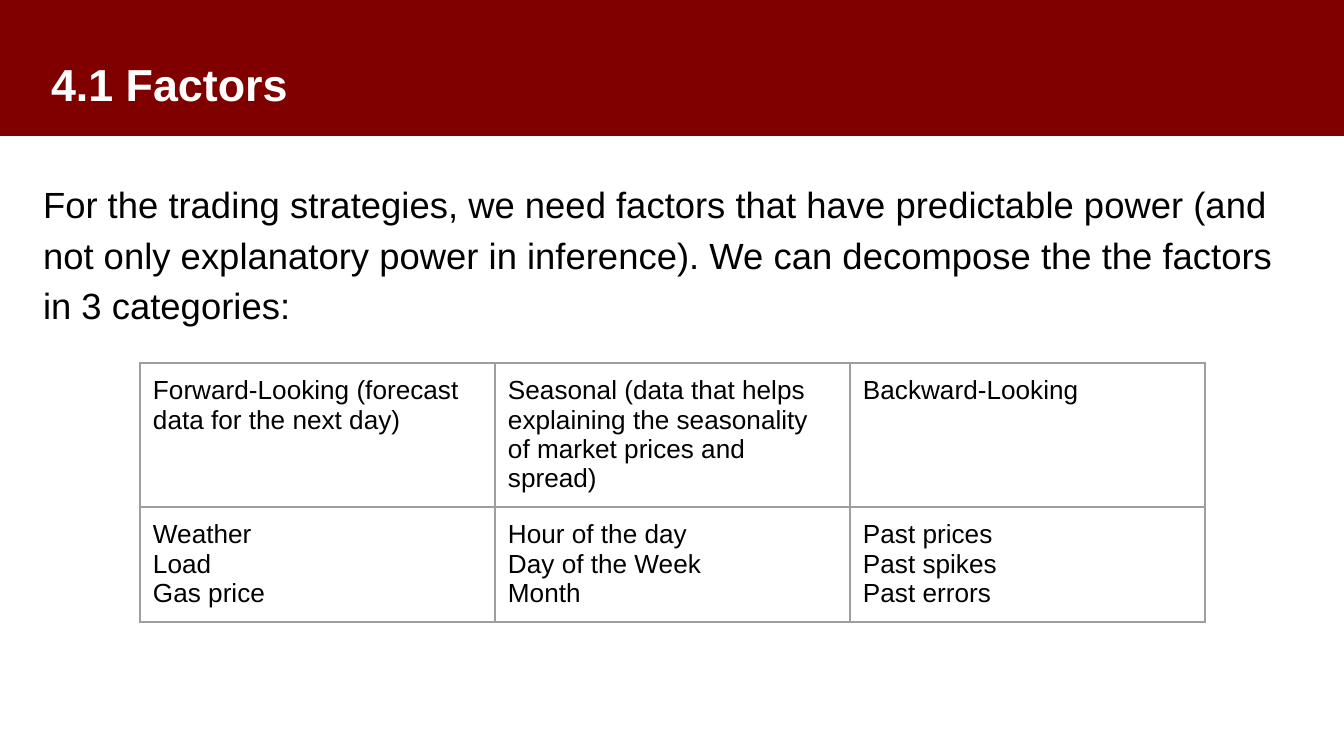
from dataclasses import dataclass

from lxml.etree import SubElement
from pptx import Presentation
from pptx.dml.color import RGBColor
from pptx.enum.text import MSO_ANCHOR, MSO_AUTO_SIZE, PP_ALIGN
from pptx.oxml.ns import qn
from pptx.util import Emu, Pt

EMU_PER_PX = 914400 / 134.4
FONT = "Arial"
COLORS = {
    "band": "800000",
    "heading": "FFFFFF",
    "text": "000000",
    "border": "9E9E9E",
}
COLUMN_WIDTH = 355
ROW_HEIGHTS = (144, 115)
CELL_MARGIN = 13


@dataclass(frozen=True)
class Box:
    left: int
    top: int
    width: int
    height: int


@dataclass(frozen=True)
class Category:
    heading: str
    factors: tuple[str, ...]


CATEGORIES = (
    Category(
        "Forward-Looking (forecast data for the next day)",
        ("Weather", "Load", "Gas price"),
    ),
    Category(
        "Seasonal (data that helps explaining the seasonality of market prices and spread)",
        ("Hour of the day", "Day of the Week", "Month"),
    ),
    Category("Backward-Looking", ("Past prices", "Past spikes", "Past errors")),
)


def px(length: int) -> Emu:
    return Emu(round(length * EMU_PER_PX))


def color(name: str) -> RGBColor:
    return RGBColor.from_string(COLORS[name])


def place(shape, box: Box) -> None:
    shape.left, shape.top = px(box.left), px(box.top)
    shape.width, shape.height = px(box.width), px(box.height)


def set_margins(holder, left: int, top: int, right: int, bottom: int) -> None:
    holder.margin_left, holder.margin_top = px(left), px(top)
    holder.margin_right, holder.margin_bottom = px(right), px(bottom)


def add_text(paragraph, text: str, size: float, color_name: str, bold: bool = False) -> None:
    run = paragraph.add_run()
    run.text = text
    run.font.name = FONT
    run.font.size = Pt(size)
    run.font.bold = bold
    run.font.color.rgb = color(color_name)


def draw_title(title, text: str) -> None:
    place(title, Box(0, 0, 1344, 136))
    title.fill.solid()
    title.fill.fore_color.rgb = color("band")
    frame = title.text_frame
    frame.auto_size = MSO_AUTO_SIZE.NONE
    frame.vertical_anchor = MSO_ANCHOR.BOTTOM
    set_margins(frame, 51, 5, 51, 26)
    paragraph = frame.paragraphs[0]
    paragraph.alignment = PP_ALIGN.LEFT
    add_text(paragraph, text, 24, "heading", bold=True)


def draw_introduction(body, text: str) -> None:
    place(body, Box(43, 176, 1277, 559))
    frame = body.text_frame
    frame.auto_size = MSO_AUTO_SIZE.NONE
    set_margins(frame, 0, 0, 9, 0)
    paragraph = frame.paragraphs[0]
    properties = paragraph._p.get_or_add_pPr()
    properties.set("marL", "0")
    properties.set("indent", "0")
    SubElement(properties, qn("a:buNone"))
    paragraph.line_spacing = 1.15
    paragraph.space_before = Pt(0)
    add_text(paragraph, text, 19.5, "text")


def draw_borders(cell) -> None:
    properties = cell._tc.get_or_add_tcPr()
    for side in ("lnL", "lnR", "lnT", "lnB"):
        line = SubElement(properties, qn(f"a:{side}"), w=str(Pt(0.75)))
        fill = SubElement(line, qn("a:solidFill"))
        SubElement(fill, qn("a:srgbClr"), val=COLORS["border"])


def fill_cell(cell, lines: tuple[str, ...]) -> None:
    set_margins(cell, *[CELL_MARGIN] * 4)
    draw_borders(cell)
    cell.fill.background()
    frame = cell.text_frame
    for index, line in enumerate(lines):
        paragraph = frame.add_paragraph() if index else frame.paragraphs[0]
        add_text(paragraph, line, 14, "text")


def draw_categories(slide, categories: tuple[Category, ...]) -> None:
    box = Box(140, 363, COLUMN_WIDTH * len(categories), sum(ROW_HEIGHTS))
    table = slide.shapes.add_table(
        len(ROW_HEIGHTS), len(categories),
        px(box.left), px(box.top), px(box.width), px(box.height),
    ).table
    table.first_row = False
    table.horz_banding = False
    for row, height in zip(table.rows, ROW_HEIGHTS):
        row.height = px(height)
    for index, category in enumerate(categories):
        table.columns[index].width = px(COLUMN_WIDTH)
        fill_cell(table.cell(0, index), (category.heading,))
        fill_cell(table.cell(1, index), category.factors)


def main() -> None:
    presentation = Presentation()
    presentation.slide_width, presentation.slide_height = px(1344), px(756)
    slide = presentation.slides.add_slide(presentation.slide_layouts[1])
    draw_title(slide.shapes.title, "4.1 Factors")
    draw_introduction(
        slide.placeholders[1],
        "For the trading strategies, we need factors that have predictable power "
        "(and not only explanatory power in inference). "
        "We can decompose the the factors in 3 categories:",
    )
    draw_categories(slide, CATEGORIES)
    presentation.save("out.pptx")


if __name__ == "__main__":
    main()
